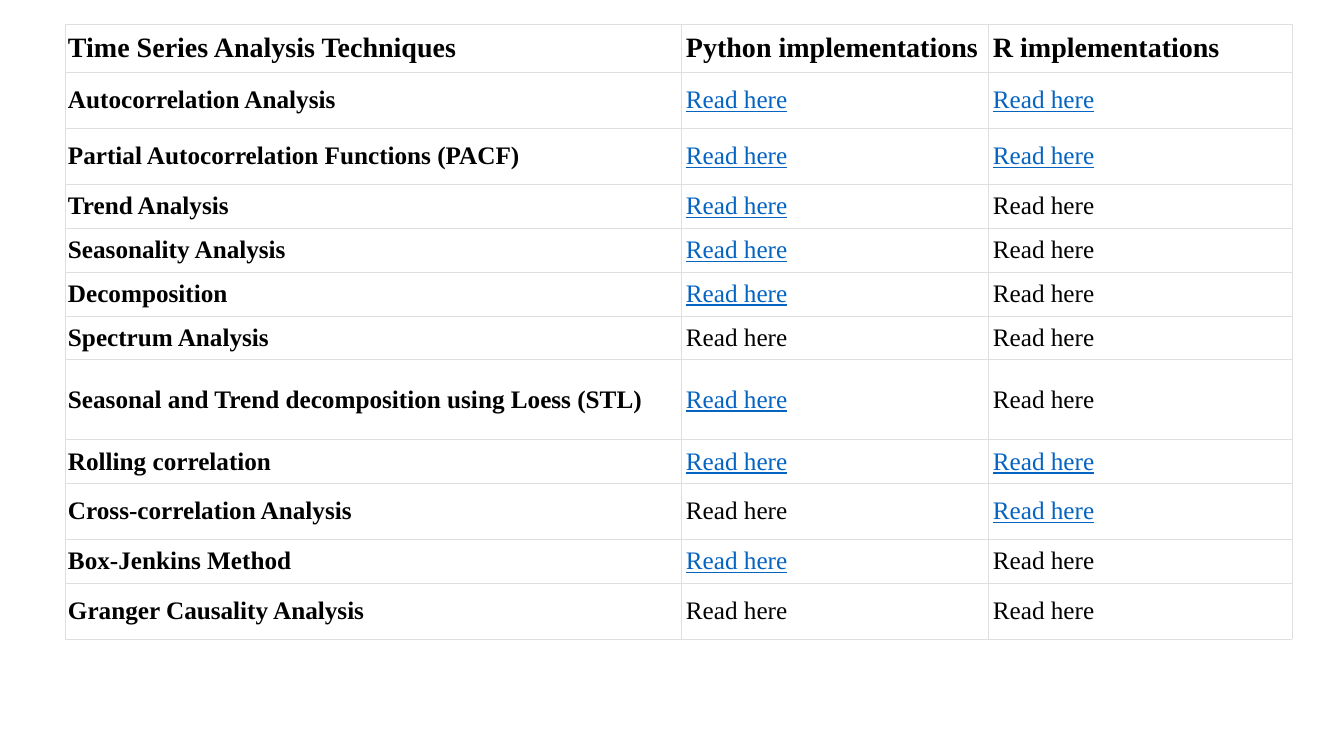
from lxml import etree
from pptx import Presentation
from pptx.dml.color import RGBColor
from pptx.enum.text import MSO_ANCHOR
from pptx.oxml.ns import qn
from pptx.util import Pt

EMU_PER_PX = 914400 / 100.8
MIDDLE = MSO_ANCHOR.MIDDLE

HEADINGS = ("Time Series Analysis Techniques", "Python implementations", "R implementations")
HEADING_HEIGHT = 48
COLUMN_WIDTHS = (616, 307, 304)
LINK_LABEL = "Read here"
TECHNIQUES = (
    ("Autocorrelation Analysis", True, True, 56),
    ("Partial Autocorrelation Functions (PACF)", True, True, 56),
    ("Trend Analysis", True, False, 33),
    ("Seasonality Analysis", True, False, 33),
    ("Decomposition", True, False, 33),
    ("Spectrum Analysis", False, False, 33),
    ("Seasonal and Trend decomposition using Loess (STL)", True, False, 80),
    ("Rolling correlation", True, True, 33),
    ("Cross-correlation Analysis", False, True, 56),
    ("Box-Jenkins Method", True, False, 33),
    ("Granger Causality Analysis", False, False, 56),
)


def px(length):
    return round(length * EMU_PER_PX)


def colour(code):
    return RGBColor.from_string(code)


class TechniqueSlide:
    """Holds the table style and the slide being built."""

    font = "Times New Roman"
    ink = "000000"
    link_ink = "0563C1"
    paper = "FFFFFF"
    rule = "DFDFDF"
    rule_width = Pt(0.18)
    heading_size = 20
    body_size = 18

    def __init__(self, deck):
        self.slide = deck.slides.add_slide(deck.slide_layouts[6])

    def table(self, left, top, width, height, column_widths, row_heights):
        frame = self.slide.shapes.add_table(
            len(row_heights), len(column_widths), px(left), px(top), px(width), px(height))
        grid = frame.table
        grid.first_row = False
        grid.horz_banding = False
        for column, column_width in zip(grid.columns, column_widths):
            column.width = px(column_width)
        for row, row_height in zip(grid.rows, row_heights):
            row.height = px(row_height)
        frame.height = px(height)
        return grid

    def borders(self, cell):
        properties = cell._tc.get_or_add_tcPr()
        for side in ("a:lnL", "a:lnR", "a:lnT", "a:lnB"):
            line = etree.SubElement(properties, qn(side), w=str(self.rule_width))
            fill = etree.SubElement(line, qn("a:solidFill"))
            etree.SubElement(fill, qn("a:srgbClr"), val=self.rule)

    def cell(self, cell, text, size, side_margin, end_margin, bold=False, linked=False):
        self.borders(cell)
        cell.fill.solid()
        cell.fill.fore_color.rgb = colour(self.paper)
        cell.vertical_anchor = MIDDLE
        cell.margin_left = cell.margin_right = px(side_margin)
        cell.margin_top = cell.margin_bottom = px(end_margin)
        run = cell.text_frame.paragraphs[0].add_run()
        run.text = text
        run.font.name = self.font
        run.font.size = Pt(size)
        run.font.bold = bold
        run.font.underline = linked
        run.font.color.rgb = colour(self.link_ink if linked else self.ink)

    def heading(self, cell, text, side_margin):
        self.cell(cell, text, self.heading_size, side_margin, 5, bold=True)

    def technique(self, cell, text):
        self.cell(cell, text, self.body_size, 3, 5, bold=True)

    def implementation(self, cell, linked):
        self.cell(cell, LINK_LABEL, self.body_size, 5, 8, linked=linked)


def main():
    deck = Presentation()
    deck.slide_width = px(1344)
    deck.slide_height = px(756)
    page = TechniqueSlide(deck)

    row_heights = [HEADING_HEIGHT] + [height for *_, height in TECHNIQUES]
    grid = page.table(65, 24, sum(COLUMN_WIDTHS), 629, COLUMN_WIDTHS, row_heights)
    for column, heading in enumerate(HEADINGS):
        page.heading(grid.cell(0, column), heading, 5 if column else 3)
    for row, (name, python_linked, r_linked, _) in enumerate(TECHNIQUES, start=1):
        page.technique(grid.cell(row, 0), name)
        page.implementation(grid.cell(row, 1), python_linked)
        page.implementation(grid.cell(row, 2), r_linked)

    deck.save("out.pptx")


if __name__ == "__main__":
    main()
